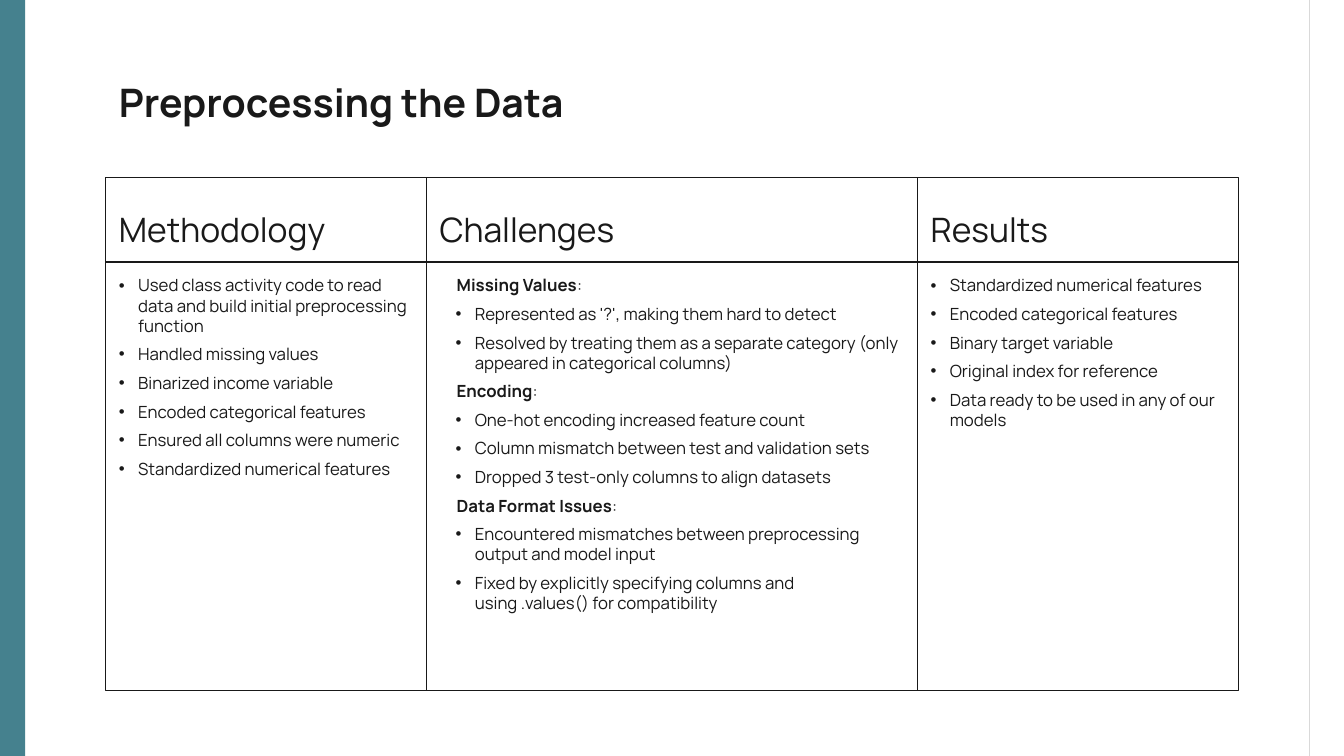
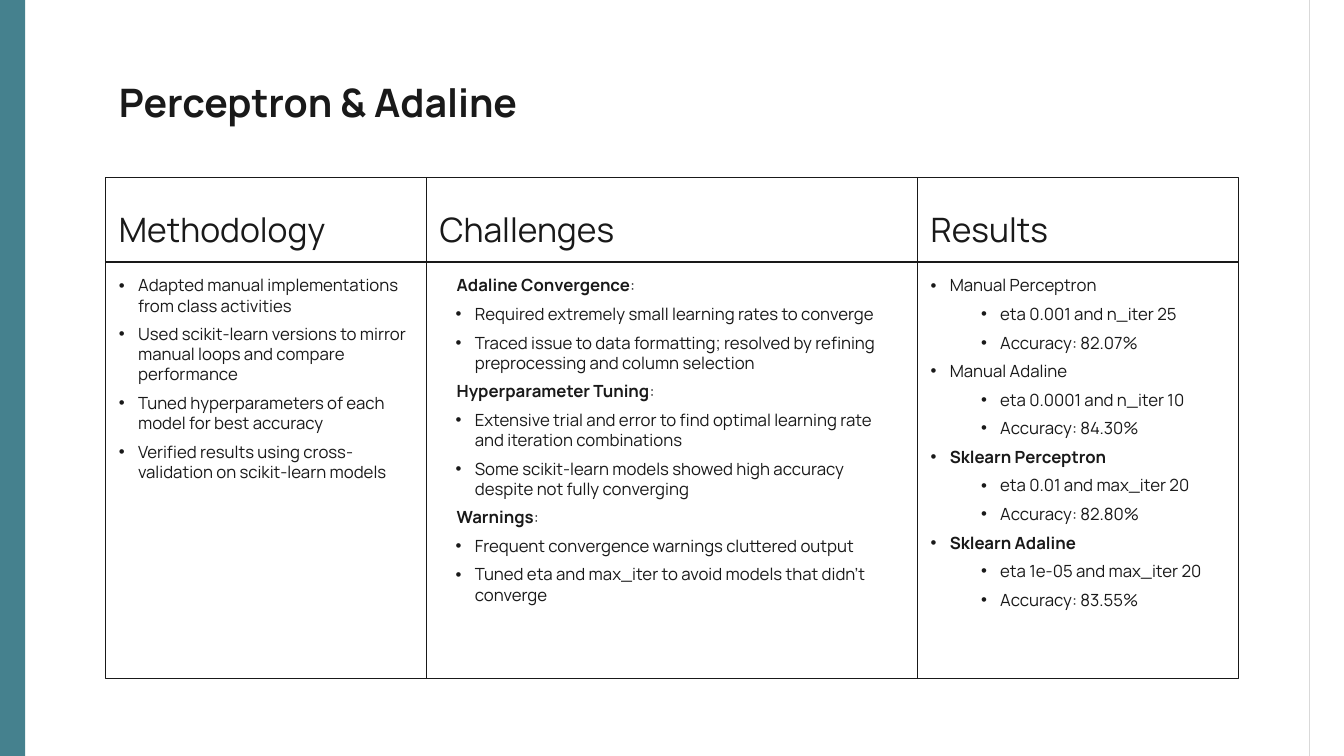
from dataclasses import dataclass

from lxml.etree import SubElement
from pptx import Presentation
from pptx.dml.color import RGBColor as Color
from pptx.enum.shapes import MSO_CONNECTOR as Wire, MSO_SHAPE as Form
from pptx.enum.text import MSO_ANCHOR as Anchor, MSO_AUTO_SIZE as Fit, PP_ALIGN as Align
from pptx.oxml.ns import qn
from pptx.util import Inches, Pt


@dataclass(frozen=True)
class Theme:
    font: str = "Manrope"
    ink: str = "191919"
    teal: str = "45818E"
    pale: str = "D9D9D9"
    title: int = 28
    head: int = 24
    body: int = 12
    gap: int = 6
    line: float = 0.75
    pad: float = 0.13
    size: tuple = (13.33, 7.5)
    cols: tuple = (1.05, 4.23, 9.1, 12.28)
    rows: tuple = (0.65, 1.49, 1.76, 2.6)
    band: float = 0.25
    edge: float = 12.99
    over: float = 0.05


@dataclass(frozen=True)
class Para:
    left: float = 0
    hang: float = 0
    bold: bool = False
    tail: str = ""
    level: int = 0


PLAIN = Para()
DOT = Para(0.19, 0.19)
KEY = Para(0.19, 0.19, bold=True)
SUB = Para(0.69, 0.19, level=1)
TOPIC = Para(0.17, bold=True, tail=":")
POINT = Para(0.35, 0.19)


class Deck:
    def __init__(self, theme):
        self.theme = theme
        self.show = Presentation()
        self.show.slide_width, self.show.slide_height = map(Inches, theme.size)
        self.layout = self.show.slide_layouts[5]
        self.slide = None

    def page(self, title):
        first = self.slide is None
        self.slide = self.show.slides.add_slide(self.layout)
        if first:
            self.frame()
        t = self.theme
        shape = self.slide.shapes.title
        self.place(shape, 0, 3, t.rows[0], t.rows[1])
        self.fill(shape, [(Para(bold=True), title)], t.title, Anchor.TOP)

    def frame(self):
        t = self.theme
        wide, high = t.size
        shapes = self.slide.shapes
        band = shapes.add_shape(Form.RECTANGLE, 0, 0, Inches(t.band), Inches(high))
        band.shadow.inherit = False
        band.fill.solid()
        band.fill.fore_color.rgb = Color.from_string(t.teal)
        band.line.fill.background()
        rule = shapes.add_connector(
            Wire.STRAIGHT, Inches(t.edge), Inches(-t.over), Inches(t.edge), Inches(high + t.over))
        rule.line.color.rgb = Color.from_string(t.pale)
        rule.line.width = Pt(t.line)
        SubElement(rule.element.spPr, qn("a:effectLst"))
        for num, shape in enumerate((band, rule), 101):
            shape.element.xpath(".//p:cNvPr")[0].set("id", str(num))
            self.layout.element.cSld.spTree.append(shape.element)

    def place(self, shape, start, stop, top, base):
        left, right = self.theme.cols[start], self.theme.cols[stop]
        shape.left, shape.top = Inches(left), Inches(top)
        shape.width, shape.height = Inches(right - left), Inches(base - top)

    def cell(self, col, top, base, paras, size, anchor):
        t = self.theme
        shape = self.slide.shapes.add_shape(Form.RECTANGLE, 0, 0, 0, 0)
        self.place(shape, col, col + 1, top, base)
        shape.shadow.inherit = False
        shape.fill.background()
        shape.line.color.rgb = Color.from_string(t.ink)
        shape.line.width = Pt(t.line)
        self.fill(shape, paras, size, anchor)

    def fill(self, shape, paras, size, anchor):
        frame = shape.text_frame
        frame.word_wrap = True
        frame.auto_size = Fit.NONE
        frame.vertical_anchor = anchor
        pad = Inches(self.theme.pad)
        frame.margin_left = frame.margin_right = pad
        frame.margin_top = frame.margin_bottom = pad
        for num, (kind, text) in enumerate(paras):
            para = frame.add_paragraph() if num else frame.paragraphs[0]
            self.shape_para(para, kind)
            self.run(para, text, size, kind.bold)
            if kind.tail:
                self.run(para, kind.tail, size, False)

    def shape_para(self, para, kind):
        t = self.theme
        para.alignment = Align.LEFT
        para.level = kind.level
        para.space_before = Pt(0)
        para.space_after = Pt(t.gap if kind.left else 0)
        props = para._p.get_or_add_pPr()
        props.set("marL", str(Inches(kind.left)))
        props.set("indent", str(Inches(-kind.hang)))
        if kind.hang:
            tint = SubElement(props, qn("a:buClr"))
            SubElement(tint, qn("a:srgbClr"), val=t.ink)
            SubElement(props, qn("a:buFont"), typeface="Arial")
            SubElement(props, qn("a:buChar"), char="•")
        else:
            SubElement(props, qn("a:buNone"))

    def run(self, para, text, size, bold):
        run = para.add_run()
        run.text = text
        run.font.name = self.theme.font
        run.font.size = Pt(size)
        run.font.bold = bold
        run.font.color.rgb = Color.from_string(self.theme.ink)

    def board(self, base, *lists):
        t = self.theme
        top, mid = t.rows[2:]
        heads = ("Methodology", "Challenges", "Results")
        for col, (head, paras) in enumerate(zip(heads, lists)):
            self.cell(col, top, mid, [(PLAIN, head)], t.head, Anchor.BOTTOM)
            self.cell(col, mid, base, paras, t.body, Anchor.TOP)


def dots(*texts):
    return [(DOT, text) for text in texts]


def group(lead, kind, head, *texts):
    return [(lead, head)] + [(kind, text) for text in texts]


def topic(head, *texts):
    return group(TOPIC, POINT, head, *texts)


def main():
    deck = Deck(Theme())

    deck.page("Preprocessing the Data")
    deck.board(
        6.85,
        dots(
            "Used class activity code to read data and build initial preprocessing function",
            "Handled missing values",
            "Binarized income variable",
            "Encoded categorical features",
            "Ensured all columns were numeric",
            "Standardized numerical features",
        ),
        topic(
            "Missing Values",
            "Represented as '?', making them hard to detect",
            "Resolved by treating them as a separate category (only appeared in categorical columns)",
        )
        + topic(
            "Encoding",
            "One-hot encoding increased feature count",
            "Column mismatch between test and validation sets",
            "Dropped 3 test-only columns to align datasets",
        )
        + topic(
            "Data Format Issues",
            "Encountered mismatches between preprocessing output and model input",
            "Fixed by explicitly specifying columns and using .values() for compatibility",
        ),
        dots(
            "Standardized numerical features",
            "Encoded categorical features",
            "Binary target variable",
            "Original index for reference",
            "Data ready to be used in any of our models",
        ),
    )

    deck.page("Perceptron & Adaline")
    deck.board(
        6.73,
        dots(
            "Adapted manual implementations from class activities",
            "Used scikit-learn versions to mirror manual loops and compare performance",
            "Tuned hyperparameters of each model for best accuracy",
            "Verified results using cross-validation on scikit-learn models",
        ),
        topic(
            "Adaline Convergence",
            "Required extremely small learning rates to converge",
            "Traced issue to data formatting; resolved by refining preprocessing and column selection",
        )
        + topic(
            "Hyperparameter Tuning",
            "Extensive trial and error to find optimal learning rate and iteration combinations",
            "Some scikit-learn models showed high accuracy despite not fully converging",
        )
        + topic(
            "Warnings",
            "Frequent convergence warnings cluttered output",
            "Tuned eta and max_iter to avoid models that didn’t converge",
        ),
        group(DOT, SUB, "Manual Perceptron", "eta 0.001 and n_iter 25", "Accuracy: 82.07%")
        + group(DOT, SUB, "Manual Adaline", "eta 0.0001 and n_iter 10", "Accuracy: 84.30%")
        + group(KEY, SUB, "Sklearn Perceptron", "eta 0.01 and max_iter 20", "Accuracy: 82.80%")
        + group(KEY, SUB, "Sklearn Adaline", "eta 1e-05 and max_iter 20", "Accuracy: 83.55%"),
    )

    deck.show.save("out.pptx")


if __name__ == "__main__":
    main()
